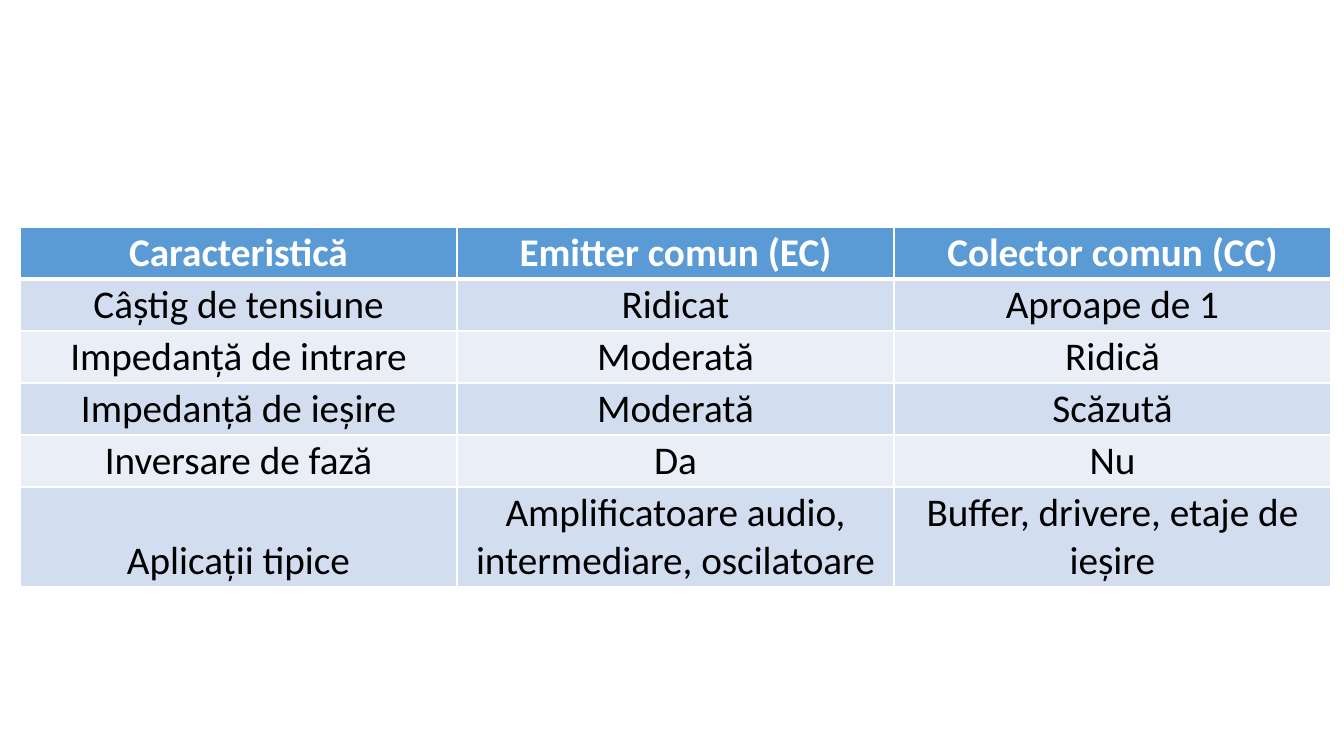
from lxml import etree
from pptx import Presentation
from pptx.dml.color import RGBColor
from pptx.enum.text import MSO_ANCHOR, PP_ALIGN
from pptx.oxml.ns import qn
from pptx.util import Emu, Pt

CENTER = PP_ALIGN.CENTER
BOTTOM = MSO_ANCHOR.BOTTOM

ROWS = [
    ("Caracteristică", "Emitter comun (EC)", "Colector comun (CC)"),
    ("Câștig de tensiune", "Ridicat", "Aproape de 1"),
    ("Impedanță de intrare", "Moderată", "Ridică"),
    ("Impedanță de ieșire", "Moderată", "Scăzută"),
    ("Inversare de fază", "Da", "Nu"),
    ("Aplicații tipice", "Amplificatoare audio, intermediare, oscilatoare",
     "Buffer, drivere, etaje de ieșire"),
]
COLORS = {"header": "5B9BD5", "odd": "D2DEEF", "even": "EAEFF7",
          "white": "FFFFFF", "black": "000000"}
LEFT, TOP, COL_W = 20, 227, 437
ROW_H = [52] * 5 + [99]
UNPADDED = {(0, 2), (5, 2)}


def px(n):
    return Emu(round(n * 914400 / 100.8))


def write(cell, text, size=28, color="black", bold=False):
    p = cell.text_frame.paragraphs[0]
    p.alignment = CENTER
    r = p.add_run()
    r.text = text
    r.font.name = "Calibri"
    r.font.size = Pt(size)
    r.font.bold = bold
    r.font.color.rgb = RGBColor.from_string(COLORS[color])


def border(cell, **widths):
    tcPr = cell._tc.get_or_add_tcPr()
    for side, width in widths.items():
        ln = etree.SubElement(tcPr, qn(f"a:ln{side}"), w=str(Pt(width)))
        fill = etree.SubElement(ln, qn("a:solidFill"))
        etree.SubElement(fill, qn("a:srgbClr"), val=COLORS["white"])


prs = Presentation()
prs.slide_width, prs.slide_height = px(1344), px(756)
s = prs.slides.add_slide(prs.slide_layouts[6])

table = s.shapes.add_table(len(ROWS), len(ROWS[0]), px(LEFT), px(TOP),
                           px(COL_W * len(ROWS[0])), px(sum(ROW_H))).table
for col in table.columns:
    col.width = px(COL_W)

for i, (texts, height) in enumerate(zip(ROWS, ROW_H)):
    table.rows[i].height = px(height)
    header = i == 0
    fill = "header" if header else "odd" if i % 2 else "even"
    for j, text in enumerate(texts):
        cell = table.cell(i, j)
        cell.vertical_anchor = BOTTOM
        cell.margin_left = cell.margin_right = px(0 if (i, j) in UNPADDED else 3)
        cell.margin_top = cell.margin_bottom = px(2)
        border(cell, L=1, R=1, T=3 if i == 1 else 1, B=3 if header else 1)
        cell.fill.solid()
        cell.fill.fore_color.rgb = RGBColor.from_string(COLORS[fill])
        write(cell, text, color="white" if header else "black", bold=header)

prs.save("out.pptx")
